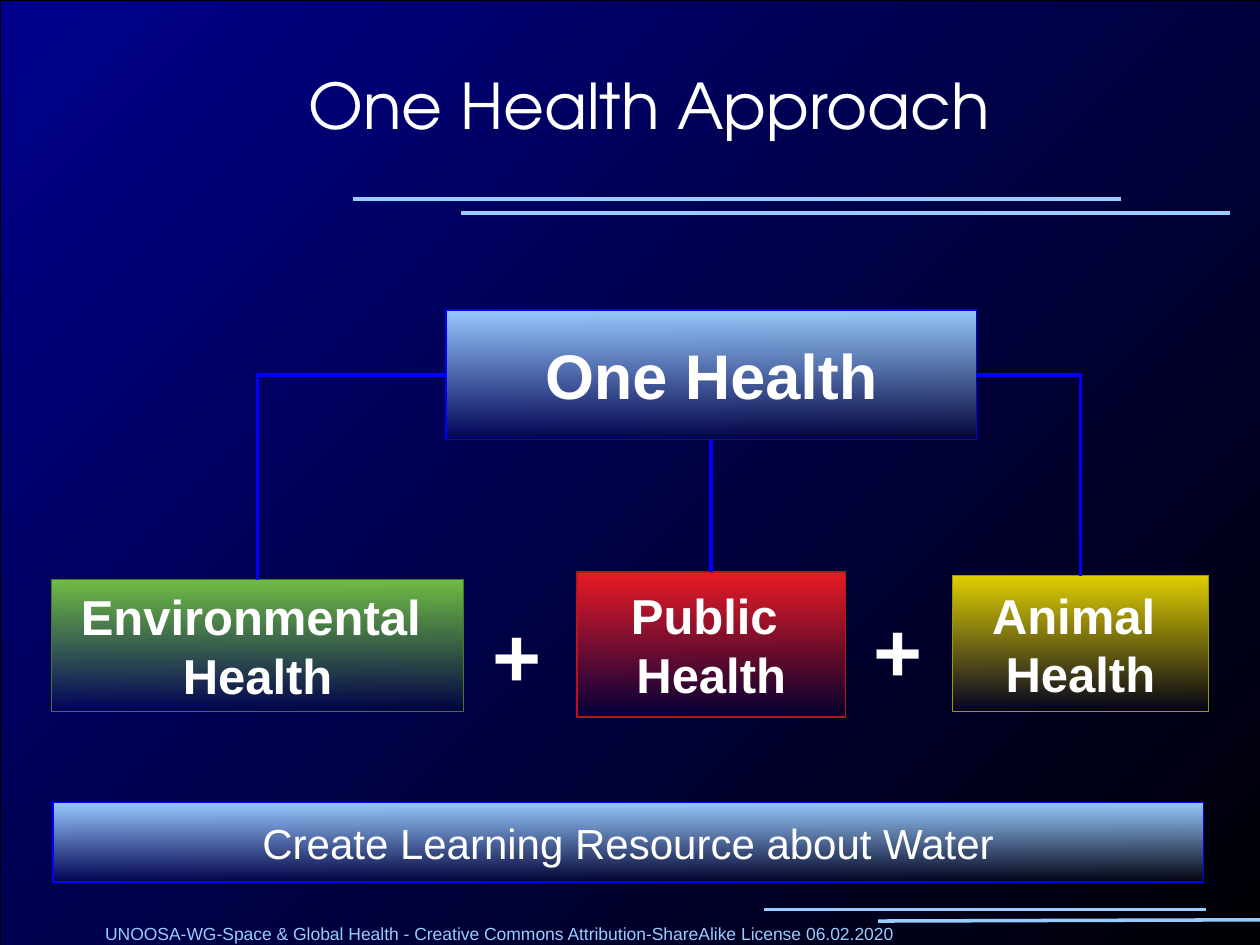
from lxml import etree
from pptx import Presentation
from pptx.dml.color import RGBColor
from pptx.enum.shapes import MSO_CONNECTOR, MSO_SHAPE
from pptx.enum.text import MSO_ANCHOR, MSO_AUTO_SIZE, PP_ALIGN
from pptx.oxml.ns import qn
from pptx.util import Inches, Pt

RECTANGLE = MSO_SHAPE.RECTANGLE
STRAIGHT, ELBOW = MSO_CONNECTOR.STRAIGHT, MSO_CONNECTOR.ELBOW
TOP, MIDDLE = MSO_ANCHOR.TOP, MSO_ANCHOR.MIDDLE
CENTER = PP_ALIGN.CENTER
NO_AUTOSIZE = MSO_AUTO_SIZE.NONE
TOP_SIDE, LEFT_SIDE, BOTTOM_SIDE, RIGHT_SIDE = range(4)

COLORS = {
    "navy": "000066", "blue": "00008C", "black": "000000", "white": "FFFFFF",
    "sky": "99CCFF", "line": "0000FF",
    "green": "72BF44", "green_edge": "407927",
    "red": "ED1C24", "red_edge": "BA131A",
    "yellow": "E3D200", "yellow_edge": "A09600",
}

# Grid of 100 columns by 75 rows; every box is (column, row, columns, rows)
WIDTH, HEIGHT = Inches(10), Inches(7.5)
COLUMN, ROW = WIDTH / 100, HEIGHT / 75


def color(name):
    return RGBColor.from_string(COLORS[name])


def lengths(box):
    return [int(value * unit) for value, unit in zip(box, (COLUMN, ROW) * 2)]


def within(region, part):
    return (region[0] + part[0], region[1] + part[1], *part[2:])


def write(shape, lines, size, bold=False, font="Arial", ink="white", **frame_format):
    frame = shape.text_frame
    frame.text = "\n".join(lines)
    for name, value in frame_format.items():
        setattr(frame, name, value)
    font_format = {"name": font, "size": Pt(size), "bold": bold}
    for paragraph in frame.paragraphs:
        paragraph.alignment = CENTER
        for name, value in font_format.items():
            setattr(paragraph.font, name, value)
        paragraph.font.color.rgb = color(ink)


def hairline(line, name):
    line.color.rgb = color(name)
    line.width = 0


def corner_gradient(fill, owner, start, shape_of_path):
    """Fade from the top left corner to black."""
    fill.gradient()
    for stop, name in zip(fill.gradient_stops, (start, "black")):
        stop.color.rgb = color(name)
    gradient = owner.xpath(".//a:gradFill")[0]
    gradient.remove(gradient.find(qn("a:lin")))
    path = etree.SubElement(gradient, qn("a:path"), path=shape_of_path)
    etree.SubElement(path, qn("a:fillToRect"), l="0", t="0", r="100000", b="100000")


def fading_box(slide, box, lines, size, fill_name, edge, bold=True):
    """Box whose colour fades downwards to transparent."""
    shape = slide.shapes.add_shape(RECTANGLE, *lengths(box))
    shape.shadow.inherit = False
    shape.fill.gradient()
    shape.fill.gradient_angle = 270
    for stop in shape.fill.gradient_stops:
        stop.color.rgb = color(fill_name)
    last_color = shape.element.xpath(".//a:gs/a:srgbClr")[-1]
    etree.SubElement(last_color, qn("a:alpha"), val="0")
    hairline(shape.line, edge)
    write(shape, lines, size, bold, vertical_anchor=MIDDLE, word_wrap=False)
    return shape


def connector(slide, kind, name, ends=(0, 0, 0, 0)):
    link = slide.shapes.add_connector(kind, *lengths(ends))
    hairline(link.line, name)
    etree.SubElement(link.element.spPr, qn("a:effectLst"))
    return link


def text_box(slide, box, text, size, **text_format):
    shape = slide.shapes.add_textbox(*lengths(box))
    write(shape, [text], size, word_wrap=True, **text_format)


def backdrop(slide, box):
    corner_gradient(slide.background.fill, slide.element, "navy", "rect")
    panel = slide.shapes.add_shape(RECTANGLE, *lengths(box))
    panel.shadow.inherit = False
    corner_gradient(panel.fill, panel.element, "blue", "circle")
    hairline(panel.line, "black")
    slide.shapes.title.element.addprevious(panel.element)


def heading(slide, box):
    title = slide.shapes.title
    title.left, title.top, title.width, title.height = lengths(box)
    write(title, ["One Health Approach"], 36, font="TeX Gyre Adventor",
          vertical_anchor=TOP, word_wrap=True, auto_size=NO_AUTOSIZE,
          margin_left=Inches(0.23), margin_right=0, margin_top=0, margin_bottom=0)


def rules(slide):
    for ends in ((28, 15.8, 89, 15.8), (36.6, 16.9, 97.6, 16.9),
                 (60.6, 72.2, 95.7, 72.2), (69.7, 73.1, 100, 73)):
        connector(slide, STRAIGHT, "sky", ends)


def health_tree(slide, region):
    parent = fading_box(slide, within(region, (31.3, 0, 42.1, 10.3)),
                        ["One Health"], 36, "sky", "line")
    # First word, colour, box, side of the parent, connector kind
    branches = (
        ("Environmental ", "green", (0, 21.4, 32.7, 10.5), LEFT_SIDE, ELBOW),
        ("Public ", "red", (41.7, 20.8, 21.3, 11.5), BOTTOM_SIDE, STRAIGHT),
        ("Animal ", "yellow", (71.5, 21.1, 20.3, 10.8), RIGHT_SIDE, ELBOW),
    )
    for word, fill_name, part, side, kind in branches:
        child = fading_box(slide, within(region, part), [word, "Health"], 28,
                           fill_name, fill_name + "_edge")
        link = connector(slide, kind, "line")
        link.begin_connect(parent, side)
        link.end_connect(child, TOP_SIDE)
        if kind == ELBOW:  # a single bend
            link.element.spPr.find(qn("a:prstGeom")).set("prst", "bentConnector2")
    for part in ((32.3, 22.8, 9.2, 8.4), (62.6, 22.4, 9.2, 8.4)):
        text_box(slide, within(region, part), "+", 48, bold=True)


def main():
    presentation = Presentation()
    presentation.slide_width, presentation.slide_height = WIDTH, HEIGHT
    slide = presentation.slides.add_slide(presentation.slide_layouts[5])

    backdrop(slide, (0, 0, 104, 75.7))
    text_box(slide, (1.4, 72.8, 76.4, 3),
             "UNOOSA-WG-Space & Global Health - Creative Commons "
             "Attribution-ShareAlike License 06.02.2020", 10, ink="sky")
    rules(slide)
    heading(slide, (1.6, 5.3, 97.6, 9.3))
    health_tree(slide, (4.1, 24.6, 91.8, 32.3))
    fading_box(slide, (4.2, 63.7, 91.3, 6.3),
               ["Create Learning Resource about Water"], 24, "sky", "line", bold=False)

    presentation.save("out.pptx")


if __name__ == "__main__":
    main()
